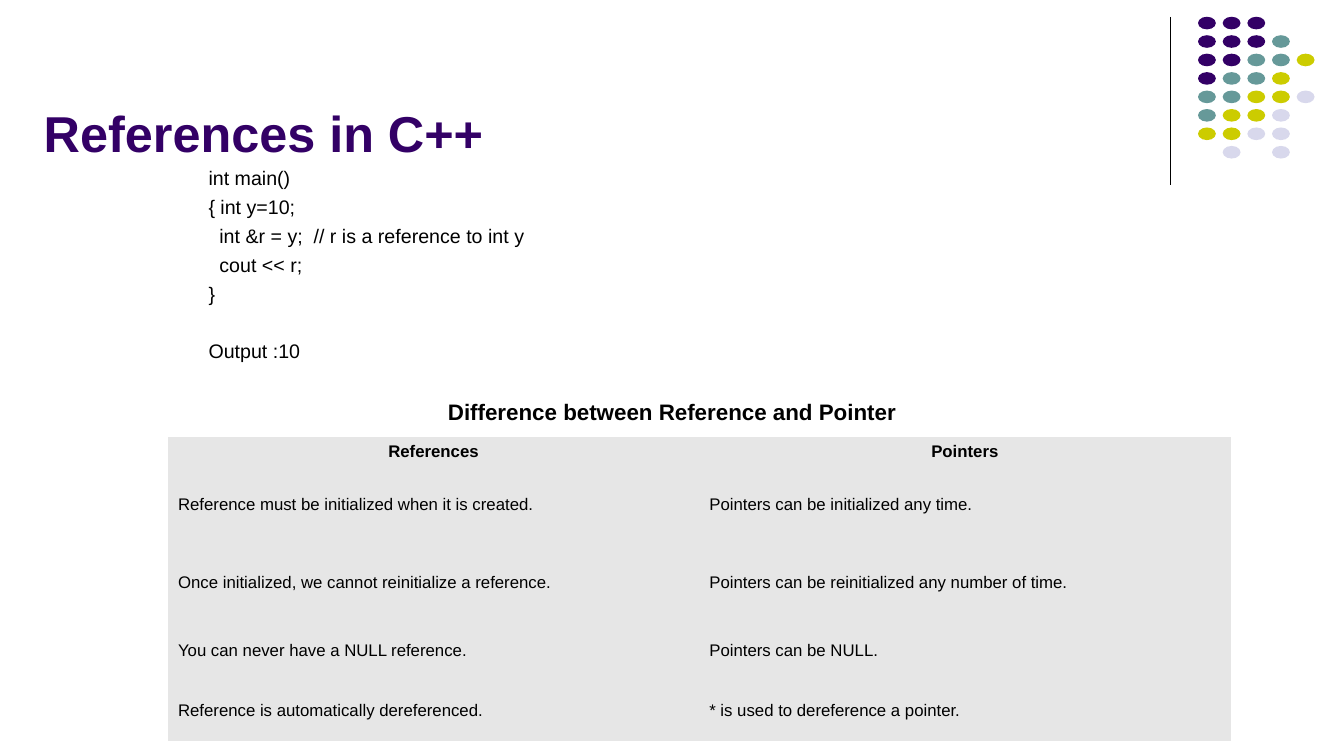
from lxml.etree import SubElement
from pptx import Presentation
from pptx.dml.color import RGBColor
from pptx.enum.shapes import MSO_CONNECTOR, MSO_SHAPE
from pptx.enum.text import MSO_ANCHOR, MSO_AUTO_SIZE, PP_ALIGN
from pptx.oxml.ns import qn
from pptx.util import Pt

PX = 9525
WHITE = RGBColor(0xFF, 0xFF, 0xFF)
BLACK = RGBColor(0x00, 0x00, 0x00)
PURPLE = RGBColor(0x33, 0x00, 0x66)
TEAL = RGBColor(0x66, 0x99, 0x99)
YELLOW = RGBColor(0xCC, 0xCC, 0x00)
LAVENDER = RGBColor(0xD8, 0xD8, 0xEC)
GREY = RGBColor(0xE6, 0xE6, 0xE6)

DOT_COLOURS = {"P": PURPLE, "T": TEAL, "Y": YELLOW, "L": LAVENDER}
DOT_ROWS = ["PPP", "PPPT", "PPTTY", "PTTY", "TTYYL", "TYYL", "YYLL", " L L"]

CODE_INDENT = 5
HEADING_INDENT = 233
BODY_LINES = [
    ("int main()", 14, False, 4, CODE_INDENT),
    ("{ int y=10;", 14, False, 4, CODE_INDENT),
    ("  int &r = y;  // r is a reference to int y", 14, False, 4, CODE_INDENT),
    ("  cout << r;", 14, False, 4, CODE_INDENT),
    ("}", 14, False, 4, CODE_INDENT),
    ("Output :10", 14, False, 24, CODE_INDENT),
    ("Difference between Reference and Pointer", 16, True, 25, HEADING_INDENT),
]

COMPARISON = [
    ("References", "Pointers"),
    ("Reference must be initialized when it is created.",
     "Pointers can be initialized any time."),
    ("Once initialized, we cannot reinitialize a reference.",
     "Pointers can be reinitialized any number of time."),
    ("You can never have a NULL reference.", "Pointers can be NULL."),
    ("Reference is automatically dereferenced.",
     "* is used to dereference a pointer."),
]
ROW_HEIGHTS = [27, 74, 74, 57, 57]


def set_values(target, values):
    for name, value in values.items():
        setattr(target, name, value)


def place(shape, box):
    sides = ("left", "top", "width", "height")
    set_values(shape, {side: length * PX for side, length in zip(sides, box)})


def write(paragraph, text, size, bold, colour=BLACK, align=PP_ALIGN.LEFT):
    paragraph.alignment = align
    run = paragraph.add_run()
    run.text = text
    set_values(run.font, {"name": "Arial", "size": Pt(size), "bold": bold})
    run.font.color.rgb = colour


def add_divider(slide, box):
    left, top, _, height = box
    line = slide.shapes.add_connector(
        MSO_CONNECTOR.STRAIGHT, left * PX, top * PX, left * PX, (top + height) * PX)
    line.line.color.rgb = BLACK
    line.line.width = Pt(0.75)
    SubElement(line._element.spPr, qn("a:effectLst"))


def add_dots(slide, box):
    left, top, width, height = box
    dot_width, dot_height = 17, 12
    step_x = (width - dot_width) / 4
    step_y = (height - dot_height) / (len(DOT_ROWS) - 1)
    group = slide.shapes.add_group_shape()
    for row, letters in enumerate(DOT_ROWS):
        for column, letter in enumerate(letters):
            if letter not in DOT_COLOURS:
                continue
            dot = group.shapes.add_shape(
                MSO_SHAPE.OVAL,
                round((left + column * step_x) * PX), round((top + row * step_y) * PX),
                dot_width * PX, dot_height * PX)
            dot.shadow.inherit = False
            dot.fill.solid()
            dot.fill.fore_color.rgb = DOT_COLOURS[letter]
            dot.line.fill.background()


def fill_title(slide, box):
    title = slide.shapes.title
    place(title, box)
    set_values(title.text_frame, {
        "auto_size": MSO_AUTO_SIZE.NONE,
        "vertical_anchor": MSO_ANCHOR.BOTTOM,
        "word_wrap": True,
    })
    write(title.text_frame.paragraphs[0], "References in C++", 36, True, PURPLE)


def fill_body(slide, box):
    body = slide.placeholders[1]
    place(body, box)
    frame = body.text_frame
    set_values(frame, {
        "auto_size": MSO_AUTO_SIZE.NONE,
        "vertical_anchor": MSO_ANCHOR.TOP,
        "word_wrap": True,
    })
    for index, (text, size, bold, space, indent) in enumerate(BODY_LINES):
        paragraph = frame.add_paragraph() if index else frame.paragraphs[0]
        paragraph.space_before = Pt(space)
        properties = paragraph._p.get_or_add_pPr()
        properties.set("marL", str(indent * PX))
        properties.set("indent", "0")
        SubElement(properties, qn("a:buNone"))
        write(paragraph, text, size, bold)


def add_comparison(slide, box):
    left, top, width, height = (length * PX for length in box)
    table = slide.shapes.add_table(
        len(COMPARISON), 2, left, top, width, height).table
    set_values(table, {"first_row": False, "horz_banding": False})
    style = table._tbl.tblPr.find(qn("a:tableStyleId"))
    style.text = "{2D5ABB26-0587-4C30-8999-92F81FD0307C}"
    for row, row_height in zip(table.rows, ROW_HEIGHTS):
        row.height = row_height * PX
    for row, texts in enumerate(COMPARISON):
        header = row == 0
        align = PP_ALIGN.CENTER if header else PP_ALIGN.LEFT
        for column, text in enumerate(texts):
            cell = table.cell(row, column)
            cell.vertical_anchor = MSO_ANCHOR.MIDDLE
            cell.fill.solid()
            cell.fill.fore_color.rgb = GREY
            write(cell.text_frame.paragraphs[0], text, 12, header, align=align)


def build_slide(presentation):
    slide = presentation.slides.add_slide(presentation.slide_layouts[1])
    slide.background.fill.solid()
    slide.background.fill.fore_color.rgb = WHITE
    add_divider(slide, (1115, 16, 0, 160))
    add_dots(slide, (1141, 16, 111, 135))
    fill_title(slide, (32, 24, 1077, 136))
    fill_body(slide, (184, 153, 912, 263))
    add_comparison(slide, (160, 416, 1012, sum(ROW_HEIGHTS)))


def main():
    presentation = Presentation()
    set_values(presentation, {"slide_width": 1280 * PX, "slide_height": 720 * PX})
    build_slide(presentation)
    presentation.save("out.pptx")


if __name__ == "__main__":
    main()
